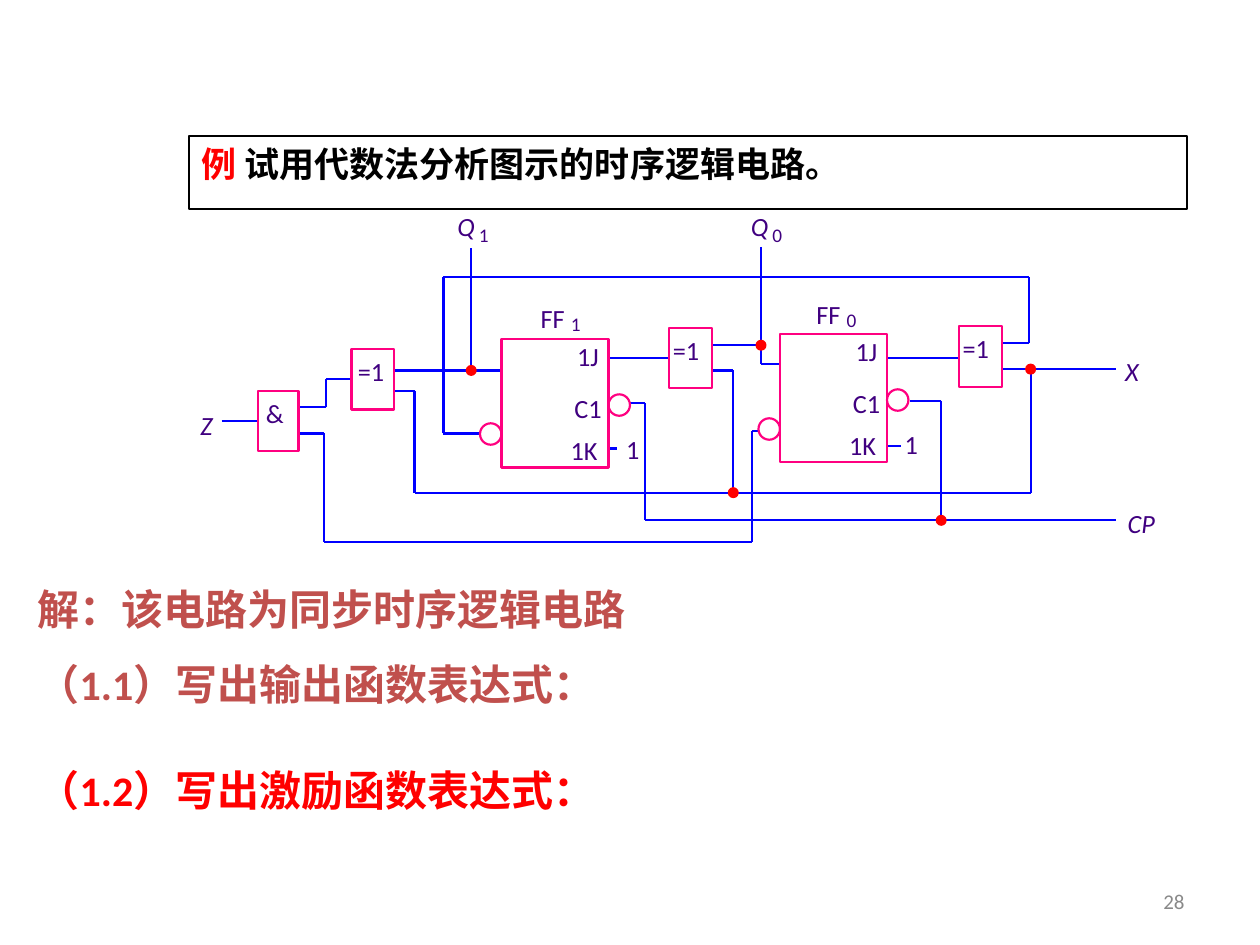
import itertools

import pptx
import pptx.dml.color
import pptx.enum.shapes
import pptx.enum.text
import pptx.oxml
import pptx.oxml.ns
import pptx.util
from pptx.util import Inches

COLORS = {"wire": "0000FF", "gate": "FF0080", "label": "400080", "red": "FF0000",
          "heading": "C0504D", "black": "000000", "white": "FFFFFF", "gray": "898989"}
FONT = "Calibri"
LINE_WIDTH = 1.25
DOT_SIZE = 0.07
BUBBLE_SIZE = 0.17

# Content: flip-flops and gates
FLIP_FLOP_SIZE = (0.85, 1.02)
FLIP_FLOPS = [(3.98, 2.69, "1"), (6.19, 2.65, "0")]  # left, top, index
PINS = [("1J", 0.6, 0.01), ("C1", 0.58, 0.42), ("1K", 0.55, 0.76)]
BUBBLE_OFFSETS = [(0.85, 0.44), (-0.17, 0.67)]
GATES = [  # symbol, left, top, width, text offset
    ("=1", 7.61, 2.59, 0.34, 0.03),
    ("=1", 5.31, 2.6, 0.34, 0.03),
    ("=1", 2.79, 2.77, 0.34, 0.05),
    ("&", 2.05, 3.1, 0.32, 0.06),
]
GATE_HEIGHT = 0.48

# Content: each wire is a run of corner points
WIRES = [
    [(7.95, 2.93), (8.86, 2.93)],                                             # X
    [(1.76, 3.34), (2.05, 3.34)],                                             # Z
    [(3.74, 1.97), (3.74, 2.94)],                                             # Q1
    [(6.04, 1.96), (6.04, 2.89), (6.19, 2.89)],                               # Q0
    [(3.13, 2.94), (3.98, 2.94)],
    [(5.65, 2.74), (6.04, 2.74)],
    [(4.83, 2.84), (5.31, 2.84)],
    [(7.05, 2.84), (7.61, 2.84)],
    [(3.81, 3.44), (3.52, 3.44), (3.52, 2.2), (8.17, 2.2), (8.17, 2.72), (7.96, 2.72)],
    [(3.13, 3.1), (3.29, 3.1), (3.29, 3.91), (8.18, 3.91), (8.18, 2.93)],
    [(5.65, 2.94), (5.82, 2.94), (5.82, 3.91)],
    [(5, 3.2), (5.12, 3.2), (5.12, 4.13), (8.86, 4.13)],                      # CP
    [(7.22, 3.18), (7.47, 3.18), (7.47, 4.13)],
    [(6.02, 3.42), (5.97, 3.42), (5.97, 4.3), (2.57, 4.3), (2.57, 3.44), (2.38, 3.44)],
    [(2.79, 3.01), (2.59, 3.01), (2.59, 3.23), (2.38, 3.23)],
    [(4.83, 3.56), (4.9, 3.56)],
    [(7.05, 3.54), (7.15, 3.54)],
]
JUNCTIONS = [(8.18, 2.93), (7.47, 4.13), (6.04, 2.74), (3.74, 2.94), (5.82, 3.91)]

# Content: signal names and constant inputs
SIGNALS = [("CP", 8.95, 4.03), ("X", 8.93, 2.82), ("Z", 1.59, 3.25)]
SUBSCRIPTED = [  # name, index, left, top, subscript offset, italic
    ("Q", "1", 3.63, 1.67, (0.17, 0.1), True),
    ("Q", "0", 5.96, 1.67, (0.17, 0.1), True),
    ("FF", "1", 4.29, 2.4, (0.24, 0.08), False),
    ("FF", "0", 6.48, 2.37, (0.24, 0.08), False),
]
CONSTANTS = [("1", 7.18, 3.4), ("1", 4.97, 3.44)]

presentation = pptx.Presentation()
presentation.slide_width, presentation.slide_height = Inches(10), Inches(7.5)
slide = presentation.slides.add_slide(presentation.slide_layouts[6])


def rgb(name):
    return pptx.dml.color.RGBColor.from_string(COLORS[name])


def write(shape, paragraphs, size, bold=False, italic=False, align=None, hanging=0,
          line_spacing=None, gap=0, anchor="TOP", insets=(0.1, 0.05), wrap=True):
    """Each paragraph is a list of (text, colour name) runs."""
    frame = shape.text_frame
    frame.word_wrap = wrap
    frame.vertical_anchor = pptx.enum.text.MSO_ANCHOR[anchor]
    frame.margin_left = frame.margin_right = Inches(insets[0])
    frame.margin_top = frame.margin_bottom = Inches(insets[1])
    for number, runs in enumerate(paragraphs):
        paragraph = frame.add_paragraph() if number else frame.paragraphs[0]
        paragraph.alignment = pptx.enum.text.PP_ALIGN[align or "LEFT"]
        if hanging:
            properties = paragraph._p.get_or_add_pPr()
            properties.set("marL", str(Inches(hanging)))
            properties.set("indent", str(-Inches(hanging)))
        if line_spacing:
            paragraph.line_spacing = line_spacing
        if number and gap:
            paragraph.space_before = pptx.util.Pt(gap)
        for text, color in runs:
            run = paragraph.add_run()
            run.text = text
            run.font.name, run.font.size = FONT, pptx.util.Pt(size)
            run.font.bold, run.font.italic = bold, italic
            run.font.color.rgb = rgb(color)


def add_text(left, top, width, height, paragraphs, size, **options):
    box = slide.shapes.add_textbox(*map(Inches, (left, top, width, height)))
    write(box, paragraphs, size, **options)


def add_label(text, left, top, size=15, italic=False):
    width = 0.1 + 0.12 * len(text)
    add_text(left, top, width, size / 48, [[(text, "label")]], size,
             italic=italic, insets=(0, 0), wrap=False)


def add_outline(kind, left, top, width, height, line, fill=None, weight=LINE_WIDTH):
    shape = slide.shapes.add_shape(pptx.enum.shapes.MSO_SHAPE[kind],
                                   *map(Inches, (left, top, width, height)))
    shape.shadow.inherit = False
    if fill:
        shape.fill.solid()
        shape.fill.fore_color.rgb = rgb(fill)
    else:
        shape.fill.background()
    shape.line.color.rgb = rgb(line)
    shape.line.width = pptx.util.Pt(weight)
    return shape


def add_wire(start, end):
    wire = slide.shapes.add_connector(pptx.enum.shapes.MSO_CONNECTOR.STRAIGHT,
                                      *map(Inches, start + end))
    wire.line.color.rgb = rgb("wire")
    wire.line.width = pptx.util.Pt(LINE_WIDTH)
    wire._element.spPr.append(pptx.oxml.parse_xml(
        "<a:effectLst %s/>" % pptx.oxml.ns.nsdecls("a")))


# Problem statement
statement = add_outline("RECTANGLE", 1.5, 1.08, 7.92, 0.58, "black", "white", 0.75)
write(statement, [[("例 ", "red"), ("试用代数法分析图示的时序逻辑电路。", "black")]], 20,
      bold=True, align="JUSTIFY", hanging=0.38)

# Wires and junctions
for points in WIRES:
    for start, end in itertools.pairwise(points):
        add_wire(start, end)
for x, y in JUNCTIONS:
    add_outline("OVAL", x - DOT_SIZE / 2, y - DOT_SIZE / 2, DOT_SIZE, DOT_SIZE, "red", "red")

# Flip-flops with their pins and inversion bubbles
for left, top, index in FLIP_FLOPS:
    add_outline("RECTANGLE", left, top, *FLIP_FLOP_SIZE, "gate")
    for dx, dy in BUBBLE_OFFSETS:
        add_outline("OVAL", left + dx, top + dy, BUBBLE_SIZE, BUBBLE_SIZE, "gate")
    for pin, dx, dy in PINS:
        add_label(pin, left + dx, top + dy)

# Gates
for symbol, left, top, width, offset in GATES:
    add_outline("RECTANGLE", left, top, width, GATE_HEIGHT, "gate")
    add_label(symbol, left + offset, top + 0.05)

# Signal names and constants
for text, left, top in SIGNALS:
    add_label(text, left, top, italic=True)
for name, index, left, top, (dx, dy), italic in SUBSCRIPTED:
    add_label(name, left, top, italic=italic)
    add_label(index, left + dx, top + dy, size=11)
for text, left, top in CONSTANTS:
    add_label(text, left, top)

# Solution steps and page number
add_text(0.2, 4.46, 8.5, 1.17,
         [[("解：该电路为同步时序逻辑电路", "heading")], [("（1.1）写出输出函数表达式：", "heading")]],
         24, bold=True, align="JUSTIFY", hanging=0.38, line_spacing=1.31, gap=4.8)
add_text(0.2, 6.03, 4.63, 0.47, [[("（1.2）写出激励函数表达式：", "red")]], 24,
         bold=True, anchor="MIDDLE")
add_text(7.17, 6.95, 2.33, 0.4, [[("28", "gray")]], 12, align="RIGHT", anchor="MIDDLE")

presentation.save("out.pptx")
